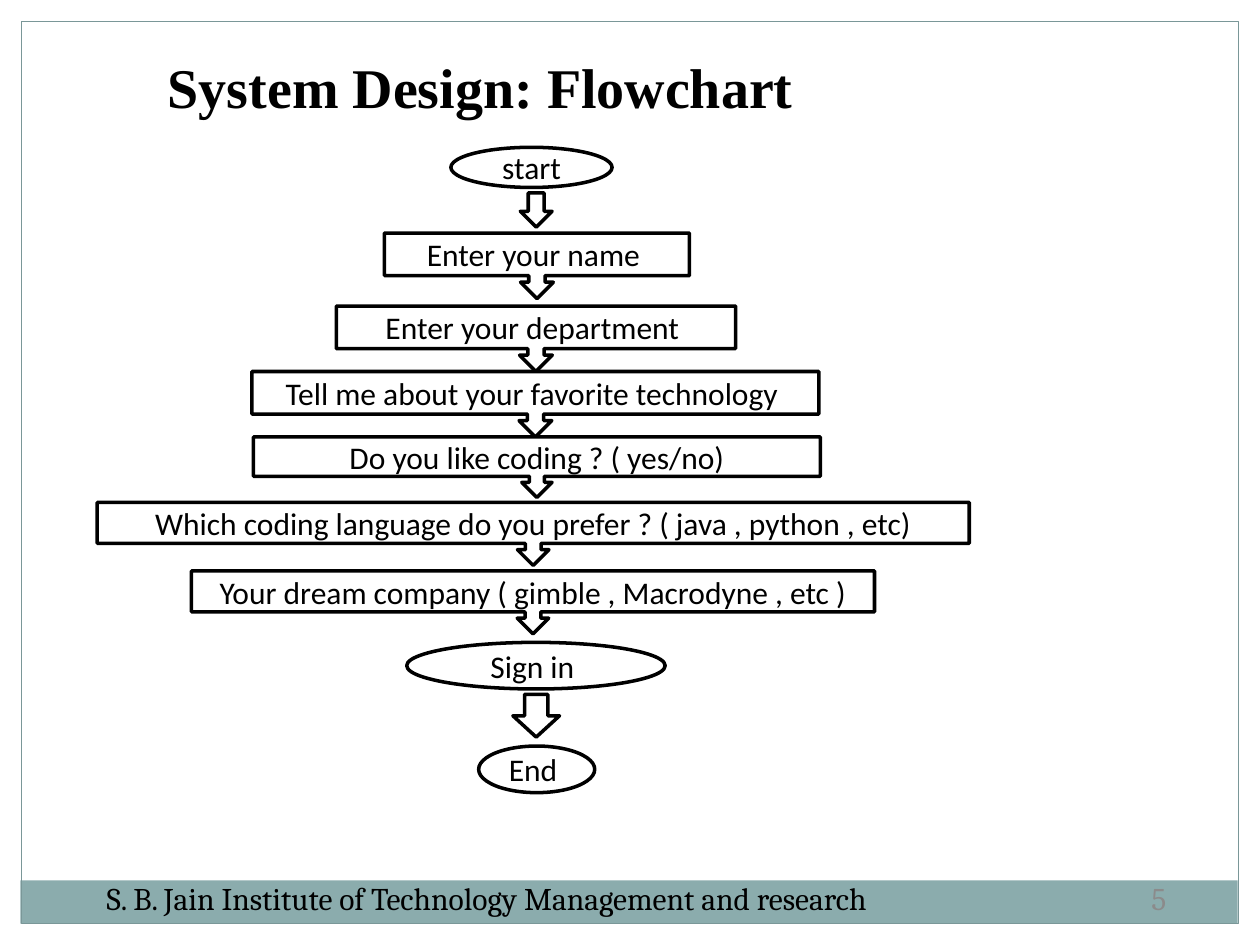
from dataclasses import dataclass

from pptx import Presentation
from pptx.dml.color import RGBColor
from pptx.enum.shapes import MSO_SHAPE
from pptx.enum.text import MSO_ANCHOR, PP_ALIGN
from pptx.util import Cm, Pt


@dataclass(frozen=True)
class Theme:
    ink: str = "000000"
    paper: str = "FFFFFF"
    band: str = "8BACAD"
    frame: str = "7A9798"
    muted: str = "8B8B8B"
    title_font: str = "Times New Roman"
    footer_font: str = "Cambria"
    step_font: str = "Calibri"
    title_size: int = 32
    body_size: int = 18
    step_line: float = 2
    frame_line: float = 0.75


class SlideBuilder:
    def __init__(self, slide, theme):
        self.slide = slide
        self.theme = theme

    def fill_text(self, text_frame, text, font, size, color, align, bold=False):
        text_frame.word_wrap = True
        text_frame.vertical_anchor = MSO_ANCHOR.MIDDLE
        paragraph = text_frame.paragraphs[0]
        paragraph.alignment = align
        run = paragraph.add_run()
        run.text = text
        run.font.name = font
        run.font.size = Pt(size)
        run.font.bold = bold
        run.font.color.rgb = RGBColor.from_string(color)

    def shape(self, kind, box, fill=None, line=None, width=0):
        shape = self.slide.shapes.add_shape(kind, *map(Cm, box))
        shape.shadow.inherit = False
        if fill:
            shape.fill.solid()
            shape.fill.fore_color.rgb = RGBColor.from_string(fill)
        else:
            shape.fill.background()
        if line:
            shape.line.color.rgb = RGBColor.from_string(line)
            shape.line.width = Pt(width)
        else:
            shape.line.fill.background()
        return shape

    def text_box(self, box, text, font, size, color, align=PP_ALIGN.LEFT, bold=False):
        text_box = self.slide.shapes.add_textbox(*map(Cm, box))
        self.fill_text(text_box.text_frame, text, font, size, color, align, bold)

    def step(self, kind, box, text=None):
        theme = self.theme
        shape = self.shape(kind, box, theme.paper, theme.ink, theme.step_line)
        if text:
            self.fill_text(shape.text_frame, text, theme.step_font, theme.body_size,
                           theme.ink, PP_ALIGN.CENTER)


STEPS = [
    (MSO_SHAPE.DOWN_ARROW_CALLOUT, (7.75, 4.7, 6.15, 1.32), "Enter your name "),
    (MSO_SHAPE.DOWN_ARROW_CALLOUT, (6.78, 6.17, 8.05, 1.32), "Enter your department "),
    (MSO_SHAPE.DOWN_ARROW_CALLOUT, (5.08, 7.49, 11.43, 1.32),
     "Tell me about your favorite technology "),
    (MSO_SHAPE.DOWN_ARROW_CALLOUT, (5.11, 8.81, 11.43, 1.22),
     "Do you like coding ? ( yes/no)"),
    (MSO_SHAPE.OVAL, (9.09, 2.97, 3.25, 0.81), "start"),
    (MSO_SHAPE.DOWN_ARROW, (10.49, 3.89, 0.64, 0.69), None),
    (MSO_SHAPE.DOWN_ARROW_CALLOUT, (1.96, 10.13, 17.58, 1.27),
     "Which coding language do you prefer ? ( java , python , etc)"),
    (MSO_SHAPE.DOWN_ARROW_CALLOUT, (3.86, 11.51, 13.77, 1.27),
     "Your dream company ( gimble , Macrodyne , etc )"),
    (MSO_SHAPE.OVAL, (8.2, 12.95, 5.21, 0.94), "Sign in "),
    (MSO_SHAPE.DOWN_ARROW, (10.34, 14, 0.94, 0.86), None),
    (MSO_SHAPE.OVAL, (9.65, 15.04, 2.34, 0.94), "End "),
]


def main():
    presentation = Presentation()
    presentation.slide_width = Cm(25.4)
    presentation.slide_height = Cm(19.05)
    slide = presentation.slides.add_slide(presentation.slide_layouts[6])
    theme = Theme()
    builder = SlideBuilder(slide, theme)

    builder.shape(MSO_SHAPE.RECTANGLE, (0.41, 17.75, 24.54, 0.87), fill=theme.band)
    builder.shape(MSO_SHAPE.RECTANGLE, (0.43, 0.43, 24.54, 18.19),
                  line=theme.frame, width=theme.frame_line)
    builder.text_box((1.27, 0.89, 16.84, 1.7), "System Design: Flowchart",
                     theme.title_font, theme.title_size, theme.ink,
                     PP_ALIGN.CENTER, bold=True)
    builder.text_box((1.9, 17.15, 18.54, 1.9),
                     "S. B. Jain Institute of Technology Management and research",
                     theme.footer_font, theme.body_size, theme.ink)
    builder.text_box((22.96, 17.15, 1.63, 1.9), "5",
                     theme.footer_font, theme.body_size, theme.muted)
    for kind, box, text in STEPS:
        builder.step(kind, box, text)

    presentation.save("out.pptx")


if __name__ == "__main__":
    main()
